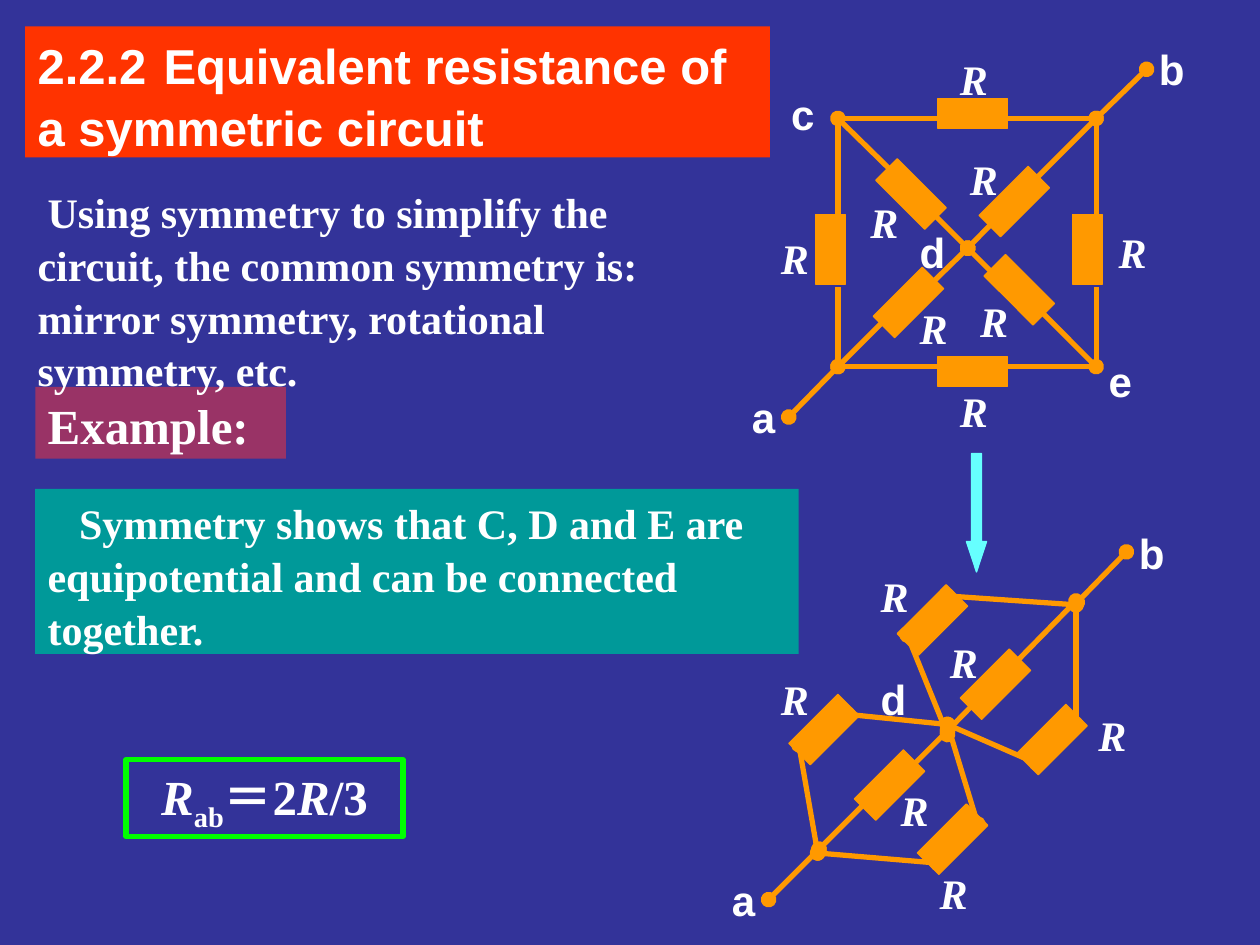
from dataclasses import dataclass

from lxml import etree
from pptx import Presentation
from pptx.dml.color import RGBColor
from pptx.enum import shapes, text
from pptx.oxml import ns
from pptx.util import Inches, Pt


@dataclass(frozen=True)
class Theme:
    background: str = "333399"
    title_fill: str = "FF3300"
    example_fill: str = "993366"
    note_fill: str = "009999"
    circuit: str = "FF9900"
    arrow: str = "66FFFF"
    result_line: str = "00FF00"
    ink: str = "FFFFFF"
    sans: str = "Arial"
    serif: str = "Times New Roman"
    heading: int = 28
    body: int = 24
    wire: float = 3
    outline: float = 0.75
    line_spacing: float = 1.05


THEME = Theme()
RESISTOR = (0.55, 0.24)
LABEL = (0.47, 0.5)


def apply(target, values):
    for name, value in values.items():
        setattr(target, name, value)


def color(value):
    return RGBColor.from_string(value)


def add_element(parent, tag, **attributes):
    return etree.SubElement(parent, ns.qn(tag), attributes)


def add_preset(container, kind, box, fill=None, line=None, width=THEME.outline):
    shape = container.shapes.add_shape(kind, *map(Inches, box))
    shape.shadow.inherit = False
    for part, value in ((shape.fill, fill), (shape.line.fill, line)):
        if value:
            part.solid()
            part.fore_color.rgb = color(value)
        else:
            part.background()
    if line:
        shape.line.width = Pt(width)
    return shape


def write(shape, runs, size, font, indent=0, tab=None, **frame_values):
    """Fill a shape with one paragraph; runs are (wording, font values)."""
    frame = shape.text_frame
    apply(frame, {"word_wrap": True, "vertical_anchor": text.MSO_ANCHOR.TOP,
                  "auto_size": text.MSO_AUTO_SIZE.SHAPE_TO_FIT_TEXT,
                  **frame_values})
    paragraph = frame.paragraphs[0]
    apply(paragraph, {"alignment": text.PP_ALIGN.LEFT,
                      "line_spacing": THEME.line_spacing})
    properties = paragraph._p.get_or_add_pPr()
    properties.set("indent", str(Inches(indent)))
    if tab:
        tabs = add_element(properties, "a:tabLst")
        add_element(tabs, "a:tab", pos=str(Inches(tab)), algn="l")
    for wording, values in runs:
        run = paragraph.add_run()
        run.text = wording
        apply(run.font, {"size": Pt(size), "name": font, "bold": True, **values})
        run.font.color.rgb = color(THEME.ink)
    return paragraph


def add_panel(slide, box, wording, size, font, fill=None, **layout):
    shape = add_preset(slide, shapes.MSO_SHAPE.RECTANGLE, box, fill)
    write(shape, [(wording, {})], size, font, **layout)


def add_wire(group, start, end, dots):
    connector = group.shapes.add_connector(
        shapes.MSO_CONNECTOR.STRAIGHT, *map(Inches, (*start, *end)))
    connector.line.width = Pt(THEME.wire)
    connector.line.color.rgb = color(THEME.circuit)
    if dots:
        line = connector.line._get_or_add_ln()
        for tag in ("a:headEnd", "a:tailEnd"):
            add_element(line, tag, type="oval")
    add_element(connector._element.spPr, "a:effectLst")


def add_circuit(slide, left, top, resistors, plain_wires, dotted_wires,
                nodes, resistor_labels):
    """Draw a circuit whose coordinates are offsets from (left, top)."""
    group = slide.shapes.add_group_shape()
    width, height = RESISTOR
    for x, y, rotation in resistors:
        box = (left + x - width / 2, top + y - height / 2, width, height)
        shape = add_preset(group, shapes.MSO_SHAPE.RECTANGLE, box,
                           THEME.circuit, THEME.circuit)
        shape.rotation = rotation
    for wires, dots in ((plain_wires, False), (dotted_wires, True)):
        for x1, y1, x2, y2 in wires:
            add_wire(group, (left + x1, top + y1), (left + x2, top + y2), dots)
    labels = [(name, THEME.sans, False, place) for name, place in nodes.items()]
    labels += [("R", THEME.serif, True, place) for place in resistor_labels]
    for wording, font, italic, (x, y) in labels:
        label = group.shapes.add_textbox(
            *map(Inches, (left + x, top + y, *LABEL)))
        write(label, [(wording, {"italic": italic})], THEME.body, font)


def add_square_circuit(slide, left, top):
    x1, x2, y1, y2 = 1, 3.05, 0.7, 2.67
    middle = (2.03, 1.73)
    plain = []
    for x in (x1, x2):
        plain += [(x, y1, x, 1.49), (x, 2.04, x, y2)]
    for y in (y1, y2):
        plain += [(x1, y, 1.79, y), (x2, y, 2.34, y)]
    add_circuit(
        slide, left, top,
        resistors=[(2.07, 0.66, 0), (2.07, 2.71, 0), (1.58, 1.3, 45),
                   (2.4, 1.36, 135), (2.98, 1.74, 90), (2.44, 2.06, 45),
                   (1.56, 2.16, 135), (0.94, 1.74, 90)],
        plain_wires=plain,
        dotted_wires=[
            (x2, y1, 2.5, 1.25), (1.55, 2.12, x1, y2), (1.48, 1.17, x1, y1),
            (x2, y2, 2.58, 2.2), (*middle, 1.63, 2.12), (2.42, 1.33, *middle),
            (2.5, 2.2, *middle), (*middle, 1.55, 1.25), (x1, y2, 0.61, 3.07),
            (3.45, 0.31, x2, y1)],
        nodes={"a": (0.22, 2.8), "b": (3.45, 0.04), "c": (0.53, 0.39),
               "d": (1.55, 1.49), "e": (3.05, 2.51)},
        resistor_labels=[(1.87, 0.12), (3.13, 1.49), (1.95, 0.91), (1.16, 1.25),
                         (1.55, 2.09), (2.03, 2.04), (1.87, 2.75), (0.45, 1.54)])


def add_folded_circuit(slide, left, top):
    """Draw the circuit with c, d and e joined at one node."""
    centers = [(2.4, 1.43), (1.56, 2.23), (1.9, 0.92), (2.85, 1.87),
               (1.04, 1.79), (2.06, 2.66)]
    joint, upper, lower = (2.02, 1.75), (3.04, 0.8), (0.99, 2.77)
    add_circuit(
        slide, left, top,
        resistors=[(x, y, 135) for x, y in centers],
        plain_wires=[],
        dotted_wires=[
            (3.04, 0.77, 2.49, 1.33), (1.55, 2.19, 1, 2.74),
            (2.02, 1.8, 1.63, 2.19), (2.41, 1.4, 2.02, 1.8),
            (1, 2.74, 0.6, 3.14), (3.44, 0.38, 3.05, 0.78),
            (*upper, 2.02, 0.73), (3.04, 1.75, *upper),
            (0.84, 1.91, *lower), (1.94, 2.85, *lower),
            (*joint, 1.23, 1.67), (2.73, 2.06, *joint),
            (2.02, 1.83, 1.7, 1.04), (2.26, 2.54, *joint)],
        nodes={"a": (0.21, 2.87), "b": (3.44, 0.12), "d": (1.39, 1.28)},
        resistor_labels=[(3.12, 1.56), (1.94, 0.98), (1.55, 2.16),
                         (1.86, 2.82), (0.6, 1.28), (1.39, 0.46)])


def add_down_arrow(slide, box):
    arrow = add_preset(slide, shapes.MSO_SHAPE.RIGHT_ARROW, box,
                       THEME.arrow, THEME.arrow)
    arrow.adjustments[1] = 1.51
    arrow.rotation = 90


def add_result(slide, box):
    shape = add_preset(slide, shapes.MSO_SHAPE.RECTANGLE, box,
                       line=THEME.result_line, width=THEME.wire)
    italic = {"italic": True}
    runs = [("R", italic), ("ab", {}), ("＝2", {}), ("R", italic), ("/3", {})]
    paragraph = write(shape, runs, THEME.heading, THEME.serif,
                      auto_size=text.MSO_AUTO_SIZE.NONE, word_wrap=False,
                      vertical_anchor=text.MSO_ANCHOR.MIDDLE)
    paragraph.alignment = text.PP_ALIGN.CENTER
    paragraph.runs[1].font._element.set("baseline", "-25000")


def main():
    presentation = Presentation()
    apply(presentation, {"slide_width": Inches(10), "slide_height": Inches(7.5)})
    slide = presentation.slides.add_slide(presentation.slide_layouts[6])
    slide.background.fill.solid()
    slide.background.fill.fore_color.rgb = color(THEME.background)

    add_panel(slide, (0.2, 0.21, 5.91, 1.04),
              "2.2.2\tEquivalent resistance of a symmetric circuit",
              THEME.heading, THEME.sans, THEME.title_fill, tab=1.18)
    add_panel(slide, (0.28, 3.07, 1.99, 0.57), "Example:",
              THEME.heading, THEME.serif, THEME.example_fill)
    add_panel(slide, (0.2, 1.41, 5.77, 1.31),
              "Using symmetry to simplify the circuit, the common symmetry is: "
              "mirror symmetry, rotational symmetry, etc.",
              THEME.body, THEME.serif, indent=0.08)
    add_square_circuit(slide, 5.65, 0.24)
    add_panel(slide, (0.28, 3.88, 6.06, 1.31),
              "Symmetry shows that C, D and E are equipotential and can be "
              "connected together.",
              THEME.body, THEME.serif, THEME.note_fill, indent=0.25)
    add_folded_circuit(slide, 5.5, 4)
    add_down_arrow(slide, (7.28, 3.99, 0.94, 0.16))
    add_result(slide, (1, 6.03, 2.2, 0.61))
    presentation.save("out.pptx")


if __name__ == "__main__":
    main()
